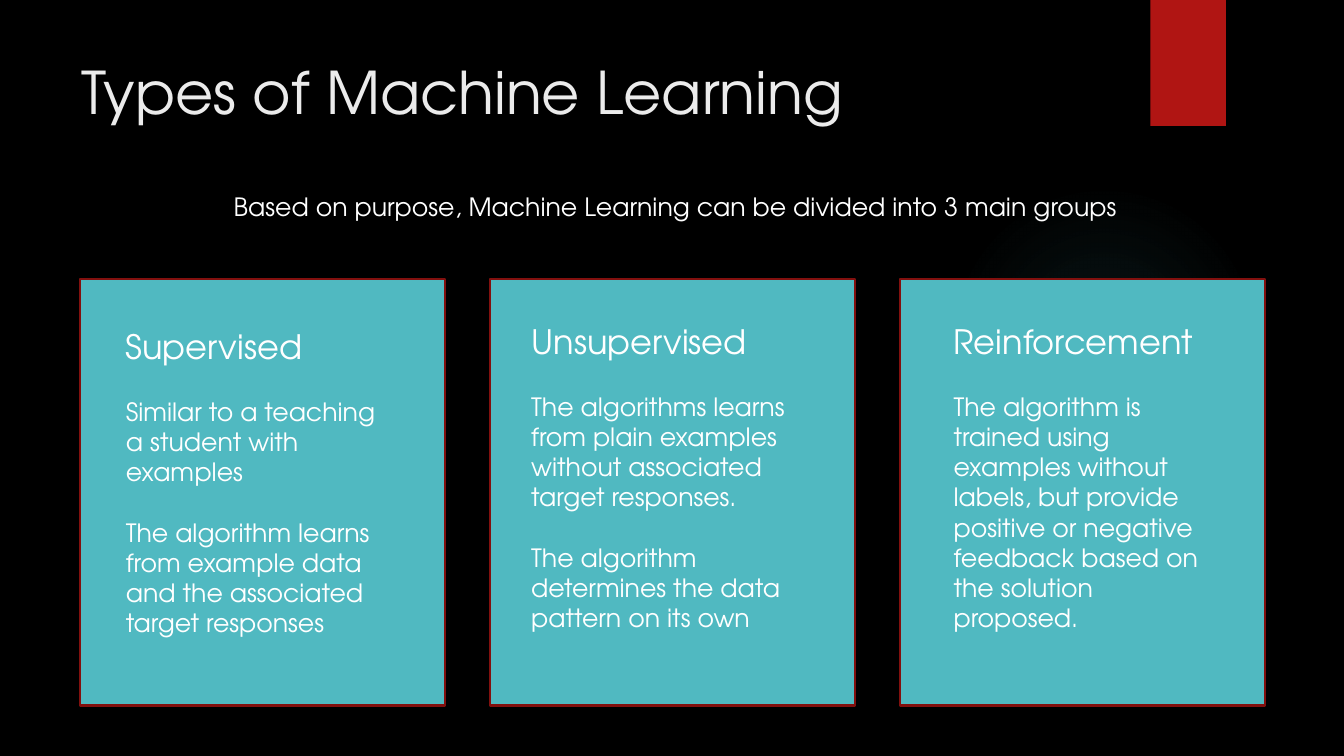
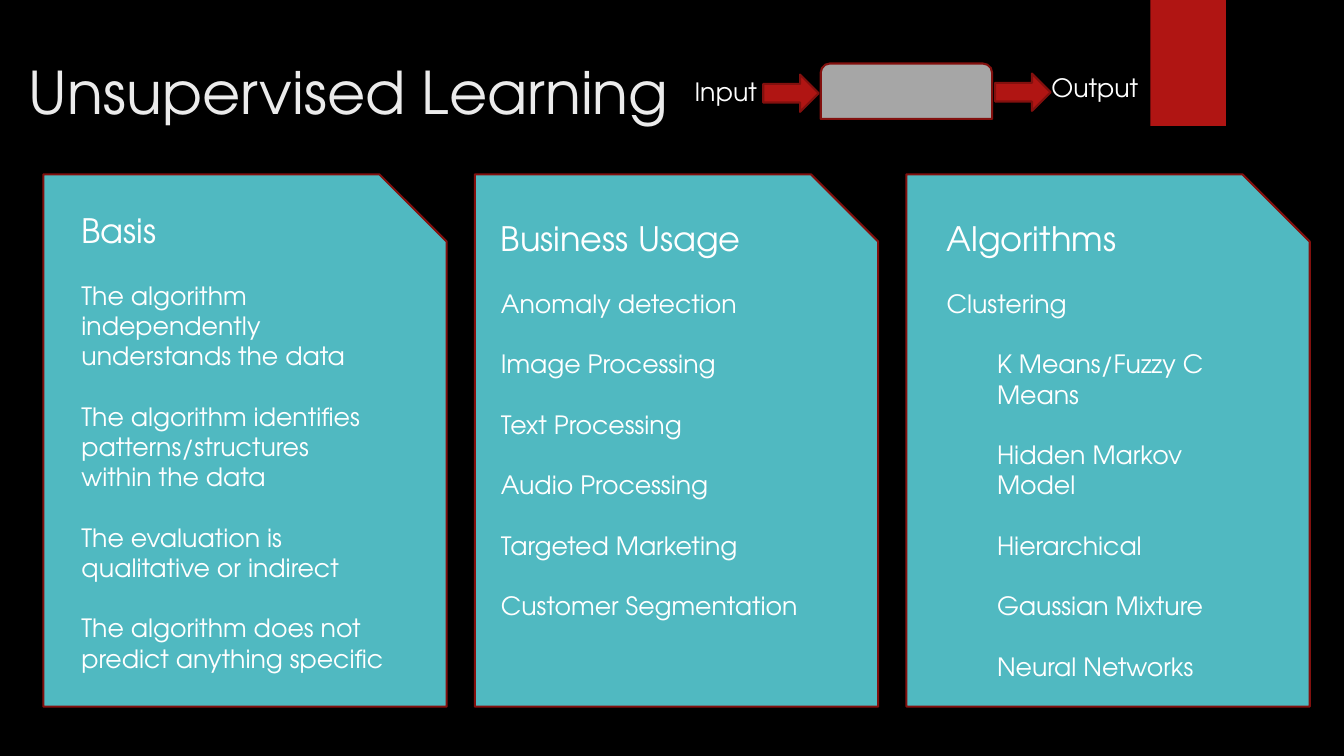
from dataclasses import dataclass

from lxml import etree
from pptx import Presentation
from pptx.dml.color import RGBColor
from pptx.enum.shapes import MSO_SHAPE
from pptx.enum.text import MSO_ANCHOR, MSO_AUTO_SIZE, PP_ALIGN
from pptx.oxml.ns import qn
from pptx.shapes.autoshape import Shape
from pptx.slide import Slide
from pptx.text.text import TextFrame
from pptx.util import Emu, Pt

# Shared style: 100 px make one inch
PX = 9144
FONT = "TeX Gyre Adventor"
COLORS = {
    "background": "000000",
    "title": "EBEBEB",
    "text": "FFFFFF",
    "accent": "B01513",
    "outline": "82100E",
    "card": "50B9C1",
    "model": "A6A6A6",
}
TITLE_SIZE, HEADING_SIZE, BODY_SIZE = 42, 24, 18
PARAGRAPH_GAP = 21.6


@dataclass(frozen=True)
class Box:
    left: int
    top: int
    width: int
    height: int

    def emu(self) -> tuple[Emu, ...]:
        return tuple(Emu(n * PX) for n in (self.left, self.top, self.width, self.height))


@dataclass(frozen=True)
class Card:
    text_box: Box
    heading: str
    items: tuple[str, ...]
    subitems: tuple[str, ...] = ()


@dataclass(frozen=True)
class CardRow:
    first: Box
    step: int
    outline: MSO_SHAPE
    cards: tuple[Card, ...]


TYPES = CardRow(Box(79, 277, 362, 423), 407, MSO_SHAPE.RECTANGLE, (
    Card(Box(115, 318, 274, 353), "Supervised", (
        "Similar to a teaching a student with examples",
        "The algorithm learns from example data and the associated target responses",
    )),
    Card(Box(517, 313, 282, 323), "Unsupervised", (
        "The algorithms learns from plain examples without associated target responses.",
        "The algorithm determines the data pattern on its own",
    )),
    Card(Box(936, 313, 267, 323), "Reinforcement", (
        "The algorithm is trained using examples without labels, but provide positive "
        "or negative feedback based on the solution proposed.",
    )),
))

UNSUPERVISED = CardRow(Box(43, 173, 400, 528), 428, MSO_SHAPE.SNIP_1_RECTANGLE, (
    Card(Box(71, 203, 320, 490), "Basis", (
        "The algorithm independently understands the data",
        "The algorithm identifies patterns/structures within the data",
        "The evaluation is qualitative or indirect",
        "The algorithm does not predict anything specific",
    )),
    Card(Box(487, 211, 353, 475), "Business Usage", (
        "Anomaly detection", "Image Processing", "Text Processing",
        "Audio Processing", "Targeted Marketing", "Customer Segmentation",
    )),
    Card(Box(929, 211, 322, 482), "Algorithms", ("Clustering",), (
        "K Means/Fuzzy C Means", "Hidden Markov Model", "Hierarchical",
        "Gaussian Mixture", "Neural Networks",
    )),
))


def rgb(name: str) -> RGBColor:
    return RGBColor.from_string(COLORS[name])


def write(frame: TextFrame, text: str, size: int, color: str = "text",
          gap: float = 0, indent: int = 0) -> None:
    """Fill the first paragraph, or append one if the frame has text."""
    paragraph = frame.add_paragraph() if frame.text else frame.paragraphs[0]
    paragraph.alignment = PP_ALIGN.LEFT
    paragraph.space_before = Pt(gap)
    if indent:
        paragraph.level = 1
        paragraph._p.get_or_add_pPr().set("marL", str(indent * PX))
    run = paragraph.add_run()
    run.text = text
    run.font.name = FONT
    run.font.size = Pt(size)
    run.font.color.rgb = rgb(color)


def add_text(slide: Slide, box: Box) -> TextFrame:
    frame = slide.shapes.add_textbox(*box.emu()).text_frame
    frame.word_wrap = True
    return frame


def add_figure(slide: Slide, kind: MSO_SHAPE, box: Box, fill: str,
               outlined: bool = True) -> Shape:
    figure = slide.shapes.add_shape(kind, *box.emu())
    figure.shadow.inherit = False
    figure.fill.solid()
    figure.fill.fore_color.rgb = rgb(fill)
    if outlined:
        figure.line.color.rgb = rgb("outline")
        figure.line.width = Pt(1.5)
    else:
        figure.line.fill.background()
    return figure


def add_glow(slide: Slide) -> None:
    """Draw a faint circle that fades out from its centre."""
    glow = add_figure(slide, MSO_SHAPE.OVAL, Box(941, 183, 308, 308), "card", False)
    gradient = etree.Element(qn("a:gradFill"))
    stops = etree.SubElement(gradient, qn("a:gsLst"))
    for position, opacity in ((0, 7), (36, 6), (69, 0)):
        stop = etree.SubElement(stops, qn("a:gs"), pos=str(position * 1000))
        color = etree.SubElement(stop, qn("a:srgbClr"), val=COLORS["card"])
        etree.SubElement(color, qn("a:alpha"), val=str(opacity * 1000))
    shade = etree.SubElement(gradient, qn("a:path"))
    shade.set("path", "circle")
    etree.SubElement(shade, qn("a:fillToRect"),
                     {side: "50000" for side in "ltrb"})
    properties = glow._element.spPr
    properties.replace(properties.find(qn("a:solidFill")), gradient)


def add_slide(deck: Presentation, title: str, title_box: Box) -> Slide:
    slide = deck.slides.add_slide(deck.slide_layouts[5])
    heading = slide.shapes.title
    heading.left, heading.top, heading.width, heading.height = title_box.emu()
    frame = heading.text_frame
    frame.word_wrap = True
    frame.auto_size = MSO_AUTO_SIZE.NONE
    frame.vertical_anchor = MSO_ANCHOR.TOP
    write(frame, title, TITLE_SIZE, "title")
    add_figure(slide, MSO_SHAPE.RECTANGLE, Box(1141, 0, 75, 125), "accent", False)
    return slide


def add_cards(slide: Slide, row: CardRow) -> None:
    first = row.first
    for index, card in enumerate(row.cards):
        place = Box(first.left + index * row.step, first.top, first.width, first.height)
        add_figure(slide, row.outline, place, "card")
        frame = add_text(slide, card.text_box)
        write(frame, card.heading, HEADING_SIZE)
        for item in card.items:
            write(frame, item, BODY_SIZE, gap=PARAGRAPH_GAP)
        for subitem in card.subitems:
            write(frame, subitem, BODY_SIZE, gap=PARAGRAPH_GAP, indent=50)


def add_flow(slide: Slide) -> None:
    """Draw input, model and output as a small chain."""
    for label, box in (("Input", Box(679, 71, 98, 40)), ("Output", Box(1033, 67, 110, 40))):
        write(add_text(slide, box), label, BODY_SIZE)
    for arrow in (Box(757, 74, 55, 37), Box(987, 73, 55, 37)):
        add_figure(slide, MSO_SHAPE.RIGHT_ARROW, arrow, "accent")
    add_figure(slide, MSO_SHAPE.ROUND_2_SAME_RECTANGLE, Box(814, 63, 170, 55), "model")


def main() -> None:
    deck = Presentation()
    deck.slide_width, deck.slide_height = Emu(1333 * PX), Emu(750 * PX)
    backdrop = deck.slide_master.background.fill
    backdrop.solid()
    backdrop.fore_color.rgb = rgb("background")

    # Types of machine learning
    types = add_slide(deck, "Types of Machine Learning", Box(71, 50, 1029, 153))
    add_glow(types)
    write(add_text(types, Box(222, 185, 906, 40)),
          "Based on purpose, Machine Learning can be divided into 3 main groups", BODY_SIZE)
    add_cards(types, TYPES)

    # Unsupervised learning
    unsupervised = add_slide(deck, "Unsupervised Learning", Box(18, 50, 1082, 153))
    add_cards(unsupervised, UNSUPERVISED)
    add_flow(unsupervised)

    deck.save("out.pptx")


if __name__ == "__main__":
    main()
